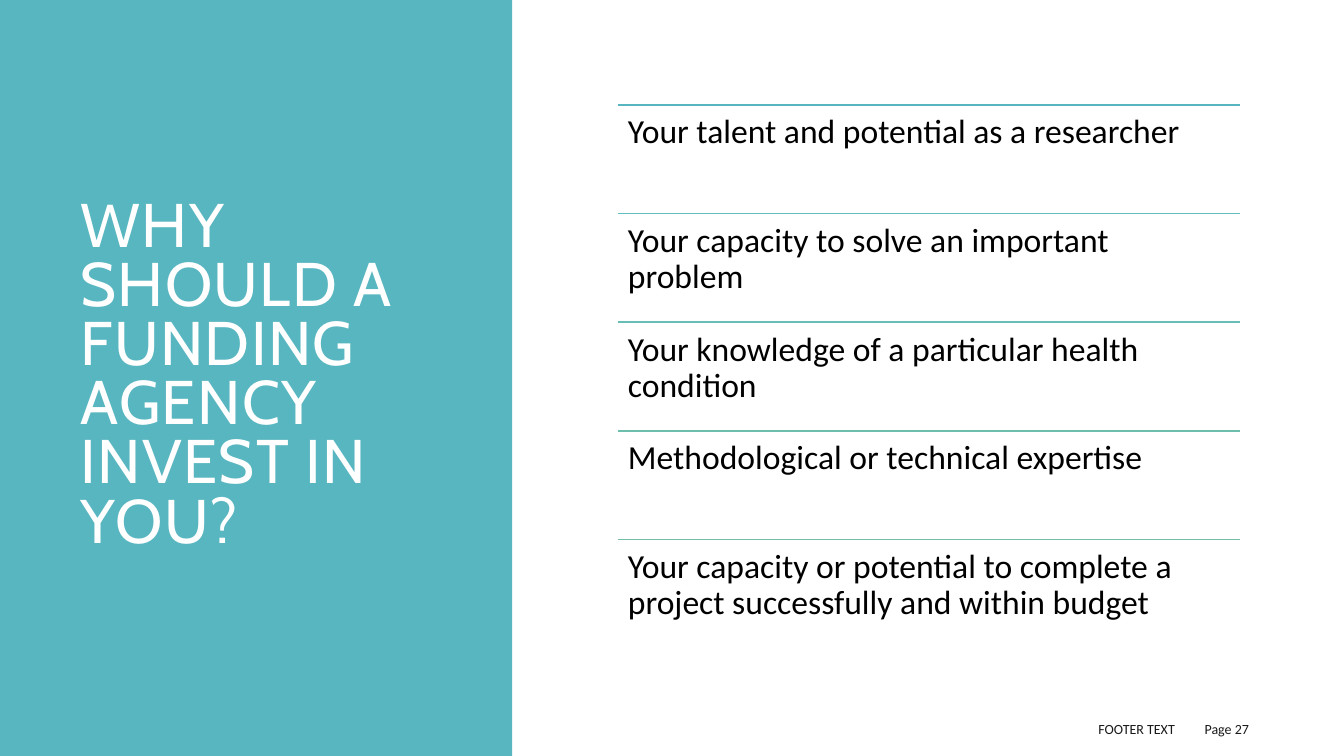
"""Build the slide on why a funding agency should invest in you."""
from dataclasses import dataclass

from lxml import etree
from pptx import Presentation
from pptx import util as u
from pptx.dml.color import RGBColor
from pptx.enum import shapes, text
from pptx.oxml.ns import qn

TITLE = "WHY SHOULD A FUNDING AGENCY INVEST IN YOU?"
REASONS = [
    ("Your talent and potential as a researcher", "58B6C0"),
    ("Your capacity to solve an important problem", "5FBFBF"),
    ("Your knowledge of a particular health condition", "67BEB5"),
    ("Methodological or technical expertise", "6EBEAD"),
    ("Your capacity or potential to complete a project successfully and within budget", "75BDA7"),
]
FOOTERS = [
    ("FOOTER TEXT", 5.3, 6.45, text.PP_ALIGN.RIGHT),
    ("Page 27", 11.85, 1.06, text.PP_ALIGN.LEFT),
]
SLIDE_WIDTH, SLIDE_HEIGHT = 13.33, 7.5
PANEL_WIDTH = 5.08
TITLE_AREA = (0.7, 0.7, 3.74, 6.09)
LIST_LEFT, LIST_TOP, LIST_WIDTH, LIST_BOTTOM = 6.13, 1.04, 6.17, 6.43
FOOTER_TOP, FOOTER_HEIGHT = 7.08, 0.3


@dataclass(frozen=True)
class Theme:
    panel: str = "58B6C0"
    title: str = "FFFFFF"
    body: str = "000000"
    footer: str = "1A1A1A"
    heading_font: str = "Cabin"
    body_font: str = "Calibri"
    title_size: int = 44
    body_size: int = 24
    footer_size: int = 10
    rule_width: float = 1.25


THEME = Theme()


def inches(*lengths):
    return [u.Inches(length) for length in lengths]


def write(box, words, font, size, color, anchor, align=text.PP_ALIGN.LEFT):
    frame = box.text_frame
    frame.word_wrap = True
    frame.auto_size = text.MSO_AUTO_SIZE.NONE
    frame.vertical_anchor = anchor
    para = frame.paragraphs[0]
    para.alignment = align
    span = para.add_run()
    span.text = words
    span.font.name = font
    span.font.size = u.Pt(size)
    span.font.color.rgb = RGBColor.from_string(color)
    return para


def add_title(page):
    title = page.shapes.title
    title.left, title.top, title.width, title.height = inches(*TITLE_AREA)
    para = write(title, TITLE, THEME.heading_font, THEME.title_size, THEME.title,
                 text.MSO_ANCHOR.MIDDLE)
    para.line_spacing = 0.8
    para.runs[0].font._element.set("spc", "100")

    panel = page.shapes.add_shape(shapes.MSO_SHAPE.RECTANGLE,
                                  *inches(0, 0, PANEL_WIDTH, SLIDE_HEIGHT))
    panel.shadow.inherit = False
    panel.fill.solid()
    panel.fill.fore_color.rgb = RGBColor.from_string(THEME.panel)
    panel.line.fill.background()
    title.element.addprevious(panel.element)


def add_reason(page, words, color, top, height):
    rule = page.shapes.add_connector(shapes.MSO_CONNECTOR.STRAIGHT,
                                     *inches(LIST_LEFT, top, LIST_LEFT + LIST_WIDTH, top))
    rule.line.color.rgb = RGBColor.from_string(color)
    rule.line.width = u.Pt(THEME.rule_width)
    etree.SubElement(rule.element.spPr, qn("a:effectLst"))

    box = page.shapes.add_textbox(*inches(LIST_LEFT, top, LIST_WIDTH, height))
    frame = box.text_frame
    frame.margin_top = frame.margin_bottom = u.Inches(0.1)
    para = write(box, words, THEME.body_font, THEME.body_size, THEME.body, text.MSO_ANCHOR.TOP)
    para.line_spacing = 0.9


def add_footer(page, words, left, width, align):
    box = page.shapes.add_textbox(*inches(left, FOOTER_TOP, width, FOOTER_HEIGHT))
    para = write(box, words, THEME.body_font, THEME.footer_size, THEME.footer,
                 text.MSO_ANCHOR.MIDDLE, align)
    para.space_after = u.Pt(6)


def main():
    deck = Presentation()
    deck.slide_width, deck.slide_height = inches(SLIDE_WIDTH, SLIDE_HEIGHT)
    page = deck.slides.add_slide(deck.slide_layouts.get_by_name("Title Only"))
    add_title(page)
    for footer in FOOTERS:
        add_footer(page, *footer)
    row_height = (LIST_BOTTOM - LIST_TOP) / len(REASONS)
    for index, (words, color) in enumerate(REASONS):
        add_reason(page, words, color, LIST_TOP + index * row_height, row_height)
    deck.save("out.pptx")


if __name__ == "__main__":
    main()
